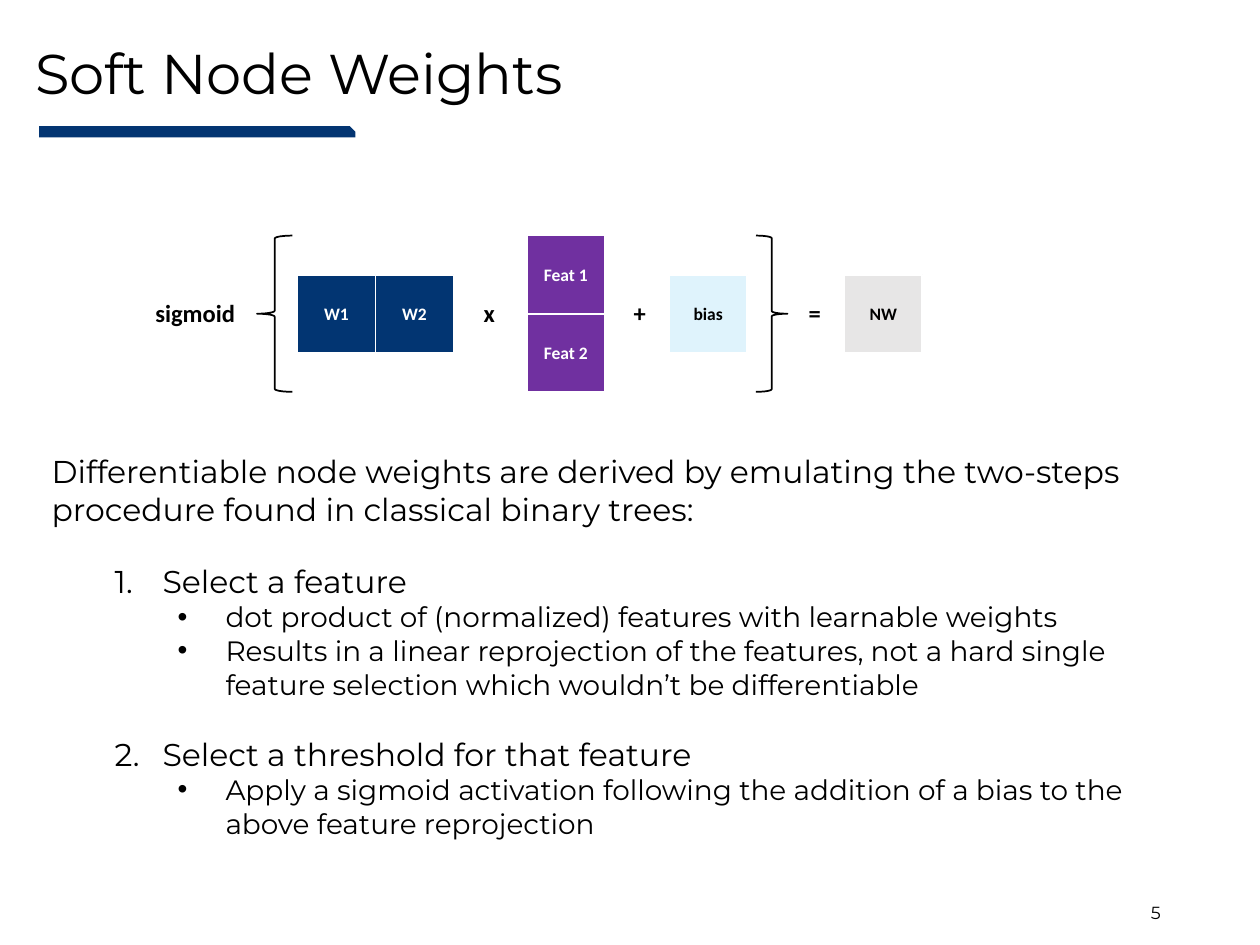
"""Build the slide that explains soft node weights as a sigmoid formula."""
from lxml import etree
from pptx import Presentation
from pptx.dml.color import RGBColor
from pptx.enum import shapes, text
from pptx.oxml import ns
from pptx.util import Inches, Pt

SHAPE = shapes.MSO_SHAPE
ALIGN = text.PP_ALIGN
ANCHOR = text.MSO_ANCHOR


def color(hex_code):
    return RGBColor.from_string(hex_code)


def write(paragraph, words, size=18, font="Montserrat", ink="000000", bold=False,
          align=ALIGN.LEFT, before=0, line=1.0):
    paragraph.alignment = align
    paragraph.space_before = Pt(before)
    paragraph.line_spacing = line
    run = paragraph.add_run()
    run.text = words
    run.font.size = Pt(size)
    run.font.name = font
    run.font.bold = bold
    run.font.color.rgb = color(ink)


deck = Presentation()
deck.slide_width, deck.slide_height = Inches(10), Inches(7.5)
slide = deck.slides.add_slide(deck.slide_layouts[1])

title = slide.shapes.title
title.left, title.top, title.width, title.height = (
    Inches(0.18), Inches(0.23), Inches(8.36), Inches(0.75))
title.text_frame.auto_size = text.MSO_AUTO_SIZE.NONE
title.text_frame.vertical_anchor = ANCHOR.MIDDLE
write(title.text_frame.paragraphs[0], "Soft Node Weights", size=32, line=0.9)

underline = slide.shapes.add_shape(
    SHAPE.SNIP_1_RECTANGLE, Inches(0.31), Inches(1), Inches(2.51), Inches(0.09))
underline.adjustments[0] = 0.5
underline.fill.solid()
underline.fill.fore_color.rgb = color("033572")
underline.line.fill.background()
underline.shadow.inherit = False

explanation = slide.placeholders[1]
explanation.left, explanation.top, explanation.width, explanation.height = (
    Inches(0.31), Inches(3.54), Inches(9), Inches(3.43))
explanation.text_frame.auto_size = text.MSO_AUTO_SIZE.NONE
explanation.text_frame.vertical_anchor = ANCHOR.TOP

SIZES = [18, 18, 16]
INDENTS = [(0, 0), (0.88, -0.38), (1.38, -0.38)]
steps = [
    (0, "Differentiable node weights are derived by emulating the two-steps "
        "procedure found in classical binary trees:"),
    (1, "Select a feature"),
    (2, "dot product of (normalized) features with learnable weights"),
    (2, "Results in a linear reprojection of the features, not a hard single "
        "feature selection which wouldn’t be differentiable"),
    (1, "Select a threshold for that feature"),
    (2, "Apply a sigmoid activation following the addition of a bias to the "
        "above feature reprojection"),
]
step_number = 0
for index, (level, words) in enumerate(steps):
    if index:
        paragraph = explanation.text_frame.add_paragraph()
    else:
        paragraph = explanation.text_frame.paragraphs[0]
    paragraph.level = level
    write(paragraph, words, size=SIZES[level], before=19.5 if level == 1 else 0)
    properties = paragraph._p.get_or_add_pPr()
    margin, hanging = INDENTS[level]
    properties.set("marL", str(Inches(margin)))
    properties.set("indent", str(Inches(hanging)))
    if level == 0:
        etree.SubElement(properties, ns.qn("a:buNone"))
    elif level == 1:
        step_number += 1
        etree.SubElement(properties, ns.qn("a:buFont"), typeface="+mj-lt")
        etree.SubElement(properties, ns.qn("a:buAutoNum"),
                         type="arabicPeriod", startAt=str(step_number))
    else:
        etree.SubElement(properties, ns.qn("a:buFont"), typeface="Arial")
        etree.SubElement(properties, ns.qn("a:buChar"), char="•")

CELL = 0.62
ROW_TOP = 2.18
terms = [
    ("Feat 1", 4.18, 1.87, "7030A0", "FFFFFF"),
    ("Feat 2", 4.18, 1.87 + CELL, "7030A0", "FFFFFF"),
    ("W1", 2.36, ROW_TOP, "023572", "FFFFFF"),
    ("W2", 2.36 + CELL, ROW_TOP, "023572", "FFFFFF"),
    ("bias", 5.31, ROW_TOP, "DFF3FC", "000000"),
    ("NW", 6.7, ROW_TOP, "E7E6E6", "000000"),
]
for words, left, top, fill, ink in terms:
    term = slide.shapes.add_shape(
        SHAPE.RECTANGLE, Inches(left), Inches(top), Inches(CELL), Inches(CELL))
    term.fill.solid()
    term.fill.fore_color.rgb = color(fill)
    term.line.color.rgb = color("FFFFFF")
    term.line.width = Pt(1)
    term.shadow.inherit = False
    term.text_frame.vertical_anchor = ANCHOR.MIDDLE
    write(term.text_frame.paragraphs[0], words, size=10, font="Calibri", ink=ink,
          bold=True, align=ALIGN.CENTER)

for outline, left, width in [(SHAPE.LEFT_BRACE, 2.04, 0.28), (SHAPE.RIGHT_BRACE, 6, 0.25)]:
    brace = slide.shapes.add_shape(
        outline, Inches(left), Inches(1.87), Inches(width), Inches(2 * CELL))
    brace.fill.background()
    brace.line.color.rgb = color("000000")
    brace.line.width = Pt(1)
    brace.shadow.inherit = False

formula = {"size": 14, "font": "Calibri", "bold": True}
labels = [
    ("sigmoid", 1.11, 2.32, 0.88, 0.34, ANCHOR.TOP, {**formula, "align": ALIGN.CENTER}),
    ("x", 3.74, 2.32, 0.31, 0.34, ANCHOR.TOP, formula),
    ("+", 4.93, 2.32, 0.31, 0.34, ANCHOR.TOP, formula),
    ("=", 6.32, 2.32, 0.31, 0.34, ANCHOR.TOP, formula),
    ("5", 7.06, 7.04, 2.25, 0.4, ANCHOR.MIDDLE, {"size": 10, "align": ALIGN.RIGHT}),
]
for words, left, top, width, height, anchor, style in labels:
    label = slide.shapes.add_textbox(
        Inches(left), Inches(top), Inches(width), Inches(height))
    label.text_frame.word_wrap = True
    label.text_frame.vertical_anchor = anchor
    write(label.text_frame.paragraphs[0], words, **style)

deck.save("out.pptx")
